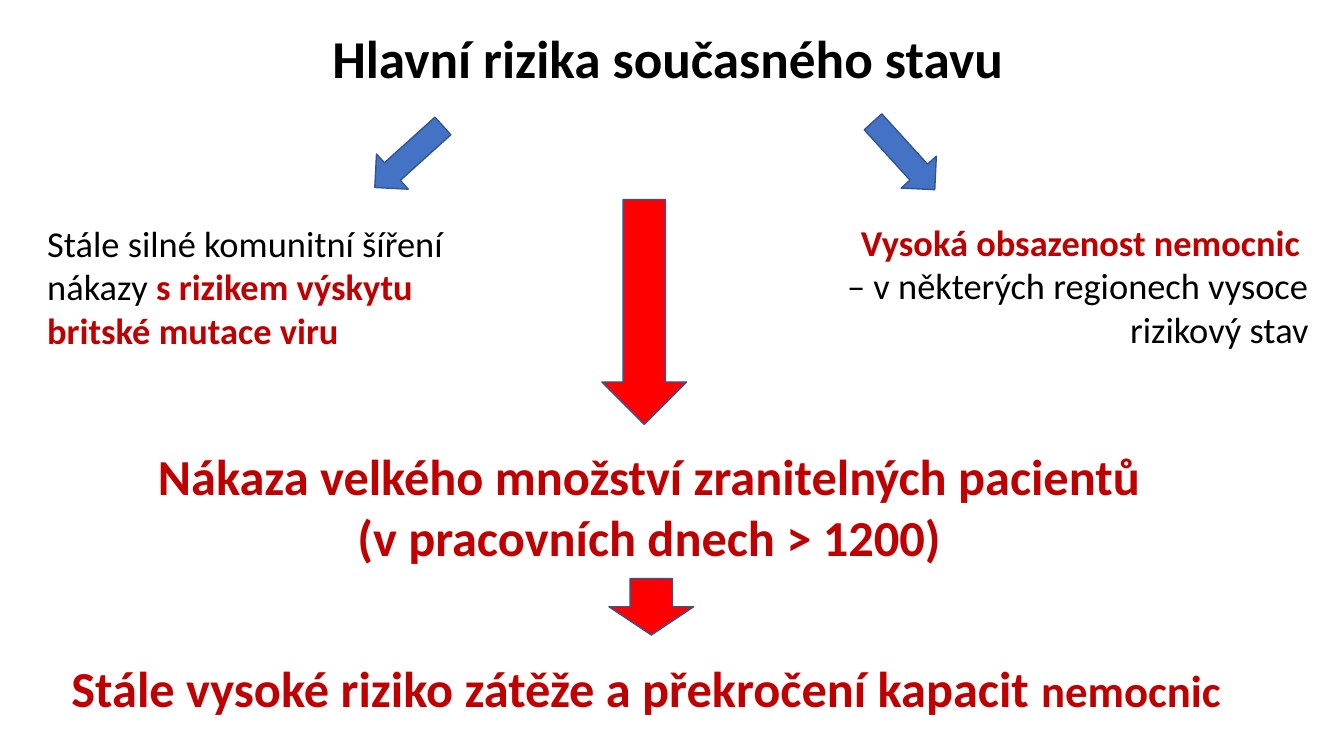
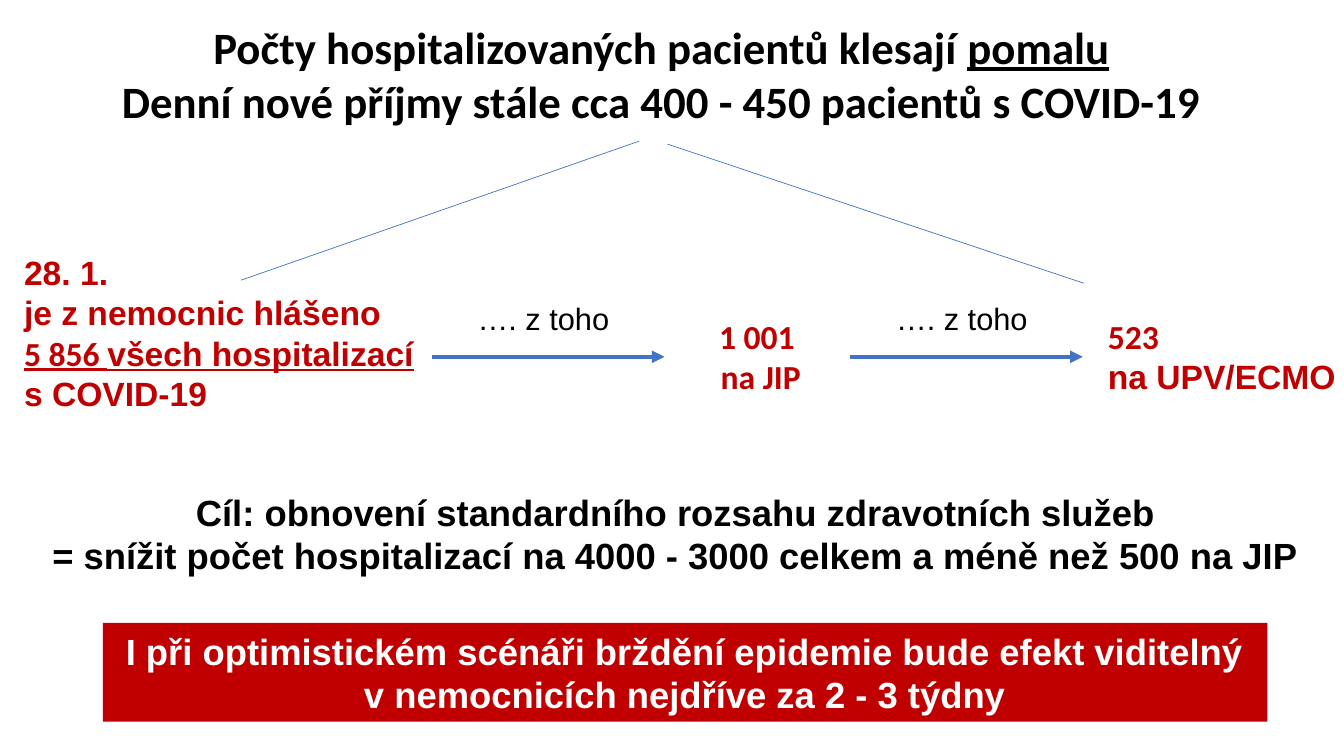
import pptx
import pptx.util
import pptx.dml.color
import pptx.enum.shapes
import pptx.enum.text
import pptx.oxml
import pptx.oxml.ns

Inches = pptx.util.Inches
Pt = pptx.util.Pt
ALIGN = pptx.enum.text.PP_ALIGN
SHAPE = pptx.enum.shapes.MSO_SHAPE

COLORS = {
    "text": "000000",
    "alert": "C00000",
    "red": "FF0000",
    "blue": "4472C4",
    "outline": "325491",
    "white": "FFFFFF",
}
TITLE_ONLY = 5
ALERT = {"color": "alert", "bold": True}


def rgb(name):
    return pptx.dml.color.RGBColor.from_string(COLORS[name])


def lengths(box):
    return [Inches(v) for v in box]


def write(tf, paragraphs, size, align=ALIGN.LEFT, font="Calibri", color="text", bold=False):
    """Fill a frame; a paragraph is a string or a list of (text, run overrides)."""
    tf.word_wrap = True
    tf.auto_size = pptx.enum.text.MSO_AUTO_SIZE.NONE
    for i, parts in enumerate(paragraphs):
        p = tf.paragraphs[0] if i == 0 else tf.add_paragraph()
        p.alignment = align
        for text, style in [(parts, {})] if isinstance(parts, str) else parts:
            r = p.add_run()
            r.text = text
            r.font.name = style.get("font", font)
            r.font.size = Pt(style.get("size", size))
            r.font.bold = style.get("bold", bold)
            r.font.underline = style.get("underline", False)
            r.font.color.rgb = rgb(style.get("color", color))


def add_title(s, box, paragraphs, size):
    title = s.shapes.title
    title.left, title.top, title.width, title.height = lengths(box)
    write(title.text_frame, paragraphs, size, ALIGN.CENTER, bold=True)


def add_text(s, box, paragraphs, size, **style):
    tf = s.shapes.add_textbox(*lengths(box)).text_frame
    write(tf, paragraphs, size, **style)
    return tf


def add_shape(s, kind, box, fill, outline=None):
    sp = s.shapes.add_shape(kind, *lengths(box))
    sp.shadow.inherit = False
    sp.fill.solid()
    sp.fill.fore_color.rgb = rgb(fill)
    if outline:
        sp.line.color.rgb = rgb(outline)
        sp.line.width = Pt(1)
    else:
        sp.line.fill.background()
    return sp


def add_down_arrow(s, box, fill, rotation=0):
    add_shape(s, SHAPE.DOWN_ARROW, box, fill, "outline").rotation = rotation


def add_line(s, start, end, width, arrow=False):
    line = s.shapes.add_connector(
        pptx.enum.shapes.MSO_CONNECTOR.STRAIGHT, *lengths(start + end))
    line.line.color.rgb = rgb("blue")
    line.line.width = Pt(width)
    if arrow:
        ln = line.line._get_or_add_ln()
        pptx.oxml.ns.qn("a:tailEnd")
        ln.append(pptx.oxml.parse_xml(
            '<a:tailEnd %s type="triangle"/>' % pptx.oxml.ns.nsdecls("a")))
    line._element.spPr.append(pptx.oxml.parse_xml(
        "<a:effectLst %s/>" % pptx.oxml.ns.nsdecls("a")))


def add_risk(s, box, paragraphs, align, arrow_left, rotation):
    """A risk with a tilted arrow leading to it from the title."""
    add_down_arrow(s, (arrow_left, box[1] - 1.04, 0.47, 0.91), "blue", rotation)
    add_text(s, box, paragraphs, 26, align=align)


def add_consequence(s, box, paragraphs, arrow_box):
    """A consequence below the red arrow that leads to it."""
    add_down_arrow(s, arrow_box, "red")
    add_text(s, box, paragraphs, 36, align=ALIGN.CENTER, **ALERT)


def add_of_which(s, box):
    """The label between two counts, with its arrow underneath."""
    left, top, width, height = box
    tf = add_text(s, box, ["…. z toho"], 22, align=ALIGN.CENTER, font="Arial")
    tf.paragraphs[0].line_spacing = 1.07
    y = top + height + 0.14
    add_line(s, (left + 0.19, y), (left + width - 0.1, y), 3, arrow=True)


def add_counts(s, left, top):
    """The row of patient counts, each a part of the one before."""
    add_text(s, (left, top, 4.15, 1.72), [
        "28. 1.",
        "je z nemocnic hlášeno",
        [("5 856 ", {"font": "Calibri", "underline": True}),
         ("všech hospitalizací", {"underline": True})],
        "s COVID-19",
    ], 24, font="Arial", **ALERT)
    for offset in (3.95, 8.1):
        add_of_which(s, (left + offset, top + 0.45, 2.6, 0.5))
    add_text(s, (left + 6.56, top + 0.63, 1.69, 0.91), ["1 001 ", "na JIP"], 24,
             align=ALIGN.CENTER, **ALERT)
    tf = add_text(s, (left + 10.75, top + 0.63, 2.44, 0.91),
                  ["523", [("na UPV/ECMO", {"font": "Arial"})]], 24, **ALERT)
    tf.margin_right = 0


def add_banner(s, box, paragraphs):
    sp = add_shape(s, SHAPE.RECTANGLE, box, "alert")
    write(sp.text_frame, paragraphs, 26, ALIGN.CENTER, "Arial", "white", True)


def risks_slide(prs):
    s = prs.slides.add_slide(prs.slide_layouts[TITLE_ONLY])
    add_title(s, (0.17, 0.2, 12.91, 0.74), ["Hlavní rizika současného stavu"], 38)
    add_risk(s, (0.37, 2.14, 4.19, 1.41), [[
        ("Stále silné komunitní šíření nákazy ", {}),
        ("s rizikem výskytu britské mutace viru", ALERT),
    ]], ALIGN.LEFT, 3.82, 47.9)
    add_risk(s, (7.75, 2.13, 5.33, 1.41), [
        [("Vysoká obsazenost nemocnic ", ALERT)],
        "– v některých regionech vysoce rizikový stav",
    ], ALIGN.RIGHT, 8.73, 317.7)
    add_consequence(s, (1.24, 4.37, 10.4, 1.31), [
        "Nákaza velkého množství zranitelných pacientů",
        "(v pracovních dnech > 1200)",
    ], (5.97, 1.98, 0.84, 2.23))
    add_consequence(s, (0.41, 6.47, 12.1, 0.71), [[
        ("Stále vysoké riziko zátěže a překročení kapacit ", {}),
        ("nemocnic ", {"size": 32}),
    ]], (6.04, 5.74, 0.84, 0.56))


def hospital_slide(prs):
    s = prs.slides.add_slide(prs.slide_layouts[TITLE_ONLY])
    add_title(s, (0.13, 0.14, 12.86, 1.18), [
        [("Počty hospitalizovaných pacientů klesají ", {}),
         ("pomalu", {"underline": True})],
        "Denní nové příjmy stále cca 400 - 450 pacientů s COVID-19",
    ], 32)
    add_line(s, (6.34, 1.4), (2.39, 2.78), 0.5)
    add_line(s, (6.62, 1.43), (10.75, 2.81), 0.5)
    add_counts(s, 0.14, 2.45)
    add_text(s, (0.41, 4.81, 12.59, 0.98), [
        "Cíl: obnovení standardního rozsahu zdravotních služeb",
        "= snížit počet hospitalizací na 4000 - 3000 celkem a méně než 500 na JIP",
    ], 26, align=ALIGN.CENTER, font="Arial", bold=True)
    add_banner(s, (1.02, 6.18, 11.55, 0.98), [
        "I při optimistickém scénáři brždění epidemie bude efekt viditelný",
        "v nemocnicích nejdříve za 2 - 3 týdny",
    ])


def main():
    prs = pptx.Presentation()
    prs.slide_width, prs.slide_height = lengths((13.33, 7.5))
    risks_slide(prs)
    hospital_slide(prs)
    prs.save("out.pptx")


if __name__ == "__main__":
    main()
